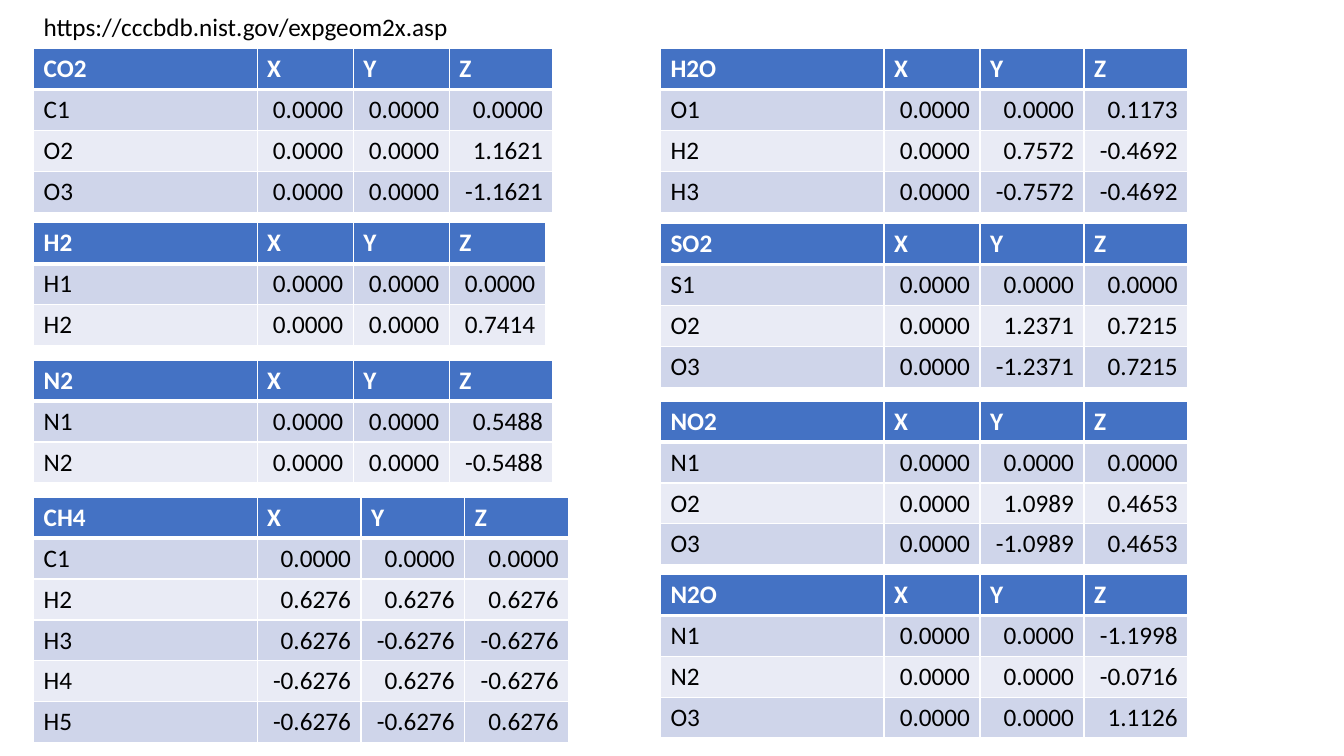
from dataclasses import dataclass

from lxml import etree
from pptx import Presentation
from pptx.dml import color
from pptx.enum import text
from pptx.oxml import ns
from pptx.util import Pt


@dataclass(frozen=True)
class Theme:
    font: str = "Calibri"
    size: float = 18
    head: str = "4472C4"
    odd: str = "CFD5EA"
    even: str = "E9EBF5"
    ink: str = "000000"
    white: str = "FFFFFF"
    thin: float = 1
    thick: float = 3


@dataclass(frozen=True)
class Atom:
    name: str
    x: float
    y: float
    z: float

    def texts(self) -> list[str]:
        return [self.name] + [f"{v:.4f}" for v in (self.x, self.y, self.z)]


@dataclass(frozen=True)
class Grid:
    """One molecule's table; wide names the axes with a broad column."""
    name: str
    left: float
    top: float
    wide: str
    atoms: tuple[Atom, ...]


THEME = Theme()
AXES = "XYZ"
LEFT, RIGHT = 24, 471.8
LABEL, SLIM, BROAD, ROW = 159.7, 68.6, 74.2, 29.2

GRIDS = (
    Grid("CO2", LEFT, 34.8, "Z", (
        Atom("C1", 0, 0, 0),
        Atom("O2", 0, 0, 1.1621),
        Atom("O3", 0, 0, -1.1621))),
    Grid("H2", LEFT, 159.2, "", (
        Atom("H1", 0, 0, 0),
        Atom("H2", 0, 0, 0.7414))),
    Grid("N2", LEFT, 257.4, "Z", (
        Atom("N1", 0, 0, 0.5488),
        Atom("N2", 0, 0, -0.5488))),
    Grid("CH4", LEFT, 355.2, "XYZ", (
        Atom("C1", 0, 0, 0),
        Atom("H2", 0.6276, 0.6276, 0.6276),
        Atom("H3", 0.6276, -0.6276, -0.6276),
        Atom("H4", -0.6276, 0.6276, -0.6276),
        Atom("H5", -0.6276, -0.6276, 0.6276))),
    Grid("H2O", RIGHT, 34.8, "YZ", (
        Atom("O1", 0, 0, 0.1173),
        Atom("H2", 0, 0.7572, -0.4692),
        Atom("H3", 0, -0.7572, -0.4692))),
    Grid("SO2", RIGHT, 159.8, "YZ", (
        Atom("S1", 0, 0, 0),
        Atom("O2", 0, 1.2371, 0.7215),
        Atom("O3", 0, -1.2371, 0.7215))),
    Grid("NO2", RIGHT, 286.6, "YZ", (
        Atom("N1", 0, 0, 0),
        Atom("O2", 0, 1.0989, 0.4653),
        Atom("O3", 0, -1.0989, 0.4653))),
    Grid("N2O", RIGHT, 410.4, "YZ", (
        Atom("N1", 0, 0, -1.1998),
        Atom("N2", 0, 0, -0.0716),
        Atom("O3", 0, 0, 1.1126))),
)


def write(frame, words: str, ink: str, bold: bool = False) -> None:
    frame.text = words
    font = frame.paragraphs[0].runs[0].font
    font.name, font.size, font.bold = THEME.font, Pt(THEME.size), bold
    font.color.rgb = color.RGBColor.from_string(ink)


def edge(cell, row: int) -> None:
    """Rule a cell in white, with a heavy line between header and body."""
    heavy = {0: "B", 1: "T"}.get(row)
    props = cell._tc.get_or_add_tcPr()
    for spot, side in enumerate("LRTB"):
        width = THEME.thick if side == heavy else THEME.thin
        line = etree.Element(ns.qn(f"a:ln{side}"), w=str(Pt(width)))
        fill = etree.SubElement(line, ns.qn("a:solidFill"))
        etree.SubElement(fill, ns.qn("a:srgbClr"), val=THEME.white)
        props.insert(spot, line)


def draw(slide, grid: Grid) -> None:
    rows = [[grid.name, *AXES]] + [atom.texts() for atom in grid.atoms]
    widths = [LABEL] + [BROAD if axis in grid.wide else SLIM for axis in AXES]
    table = slide.shapes.add_table(
        len(rows), len(widths), Pt(grid.left), Pt(grid.top),
        Pt(sum(widths)), Pt(ROW * len(rows))).table
    for col, width in zip(table.columns, widths):
        col.width = Pt(width)
    for r, words in enumerate(rows):
        table.rows[r].height = Pt(ROW)
        head = r == 0
        band = THEME.head if head else THEME.odd if r % 2 else THEME.even
        for c, word in enumerate(words):
            cell = table.cell(r, c)
            write(cell.text_frame, word, THEME.white if head else THEME.ink, head)
            cell.fill.solid()
            cell.fill.fore_color.rgb = color.RGBColor.from_string(band)
            edge(cell, r)
            if not head:
                cell.vertical_anchor = text.MSO_ANCHOR.MIDDLE
                if c:
                    cell.text_frame.paragraphs[0].alignment = text.PP_ALIGN.RIGHT


def main() -> None:
    deck = Presentation()
    deck.slide_width, deck.slide_height = Pt(960), Pt(540)
    slide = deck.slides.add_slide(deck.slide_layouts[6])
    link = slide.shapes.add_textbox(Pt(LEFT), Pt(4.6), Pt(306.8), Pt(29.1)).text_frame
    write(link, "https://cccbdb.nist.gov/expgeom2x.asp", THEME.ink)
    link.word_wrap = False
    link.auto_size = text.MSO_AUTO_SIZE.SHAPE_TO_FIT_TEXT
    for grid in GRIDS:
        draw(slide, grid)
    deck.save("out.pptx")


if __name__ == "__main__":
    main()
